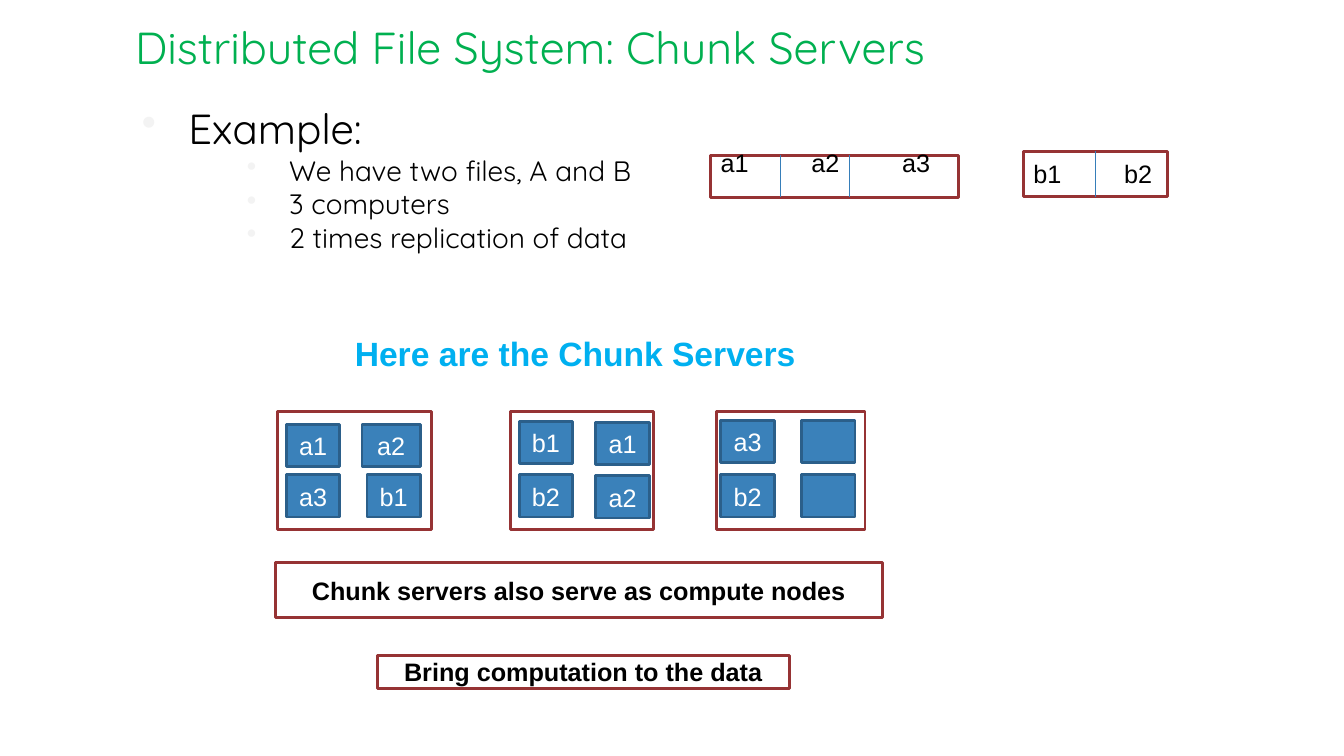
from dataclasses import dataclass

from lxml import etree
from pptx import Presentation
from pptx.dml.color import RGBColor
from pptx.enum import shapes, text
from pptx.oxml import ns
from pptx.util import Inches, Pt

GREEN, SKY, BLACK, WHITE, PALE = "00B050", "00B0F0", "000000", "FFFFFF", "F3F3F3"
MAROON, BLUE, NAVY, DIVIDER = "963334", "3A81BA", "2B5F8A", "367EB9"
LEFT, CENTER = text.PP_ALIGN.LEFT, text.PP_ALIGN.CENTER
CHUNK_WIDTH, CHUNK_HEIGHT = 0.53, 0.42
TAB_STEP = 0.9


@dataclass
class Area:
    left: float
    top: float
    width: float
    height: float

    def lengths(self) -> list:
        return [Inches(v) for v in (self.left, self.top, self.width, self.height)]


@dataclass
class Chunk:
    label: str
    left: float
    top: float
    width: float = CHUNK_WIDTH


@dataclass
class Server:
    area: Area
    chunks: list[Chunk]


@dataclass
class StoredFile:
    area: Area
    labels: list[str]
    dividers: list[float]
    bottom_inset: float


@dataclass
class Bullet:
    wording: str
    size: int
    level: int
    margin: float
    hanging: float


SERVERS = [
    Server(Area(2.75, 4.08, 1.53, 1.17),
           [Chunk("a1", 2.84, 4.21), Chunk("a2", 3.59, 4.21, 0.58),
            Chunk("a3", 2.84, 4.71), Chunk("b1", 3.64, 4.71)]),
    Server(Area(5.06, 4.08, 1.42, 1.17),
           [Chunk("b1", 5.15, 4.18), Chunk("a1", 5.91, 4.19),
            Chunk("b2", 5.15, 4.71), Chunk("a2", 5.91, 4.72)]),
    Server(Area(7.11, 4.08, 1.47, 1.17),
           [Chunk("a3", 7.15, 4.17), Chunk("", 7.95, 4.17),
            Chunk("b2", 7.15, 4.71), Chunk("", 7.95, 4.71)]),
]
FILES = [
    # The larger bottom inset lifts the labels of file A onto its top edge
    StoredFile(Area(7.05, 1.54, 2.46, 0.42), ["a1", "a2", "a3"], [7.74, 8.43], 0.33),
    StoredFile(Area(10.15, 1.5, 1.43, 0.45), ["b1", "b2"], [10.87], 0.05),
]
BULLETS = [Bullet("Example:", 30, 0, 0.5, 0.46)] + [
    Bullet(wording, 20, 2, 1.5, 0.42)
    for wording in ("We have two files, A and B", "3 computers",
                    "2 times replication of data")
]
MESSAGES = [
    ("Chunk servers also serve as compute nodes", Area(2.73, 5.58, 6.02, 0.55)),
    ("Bring computation to the data", Area(3.74, 6.5, 4.09, 0.33)),
]


def paint(color_format, color: str) -> None:
    color_format.rgb = RGBColor.from_string(color)


def add_span(para, wording: str, size: int, color: str,
             font: str = "Arial", bold: bool = False) -> None:
    span = para.add_run()
    span.text = wording
    span.font.size, span.font.name, span.font.bold = Pt(size), font, bold
    paint(span.font.color, color)


def add_box(page, area: Area, fill: str, line: str, wording: str = "",
            color: str = BLACK, bold: bool = False, align=CENTER):
    box = page.shapes.add_shape(shapes.MSO_SHAPE.RECTANGLE, *area.lengths())
    box.shadow.inherit = False
    box.fill.solid()
    paint(box.fill.fore_color, fill)
    paint(box.line.color, line)
    box.line.width = Pt(2)
    if wording:
        para = box.text_frame.paragraphs[0]
        para.alignment = align
        add_span(para, wording, 18, color, bold=bold)
    return box


def add_title(page) -> None:
    title = page.shapes.title
    title.left, title.top, title.width, title.height = Area(1.24, 0.25, 10.8, 0.58).lengths()
    frame = title.text_frame
    frame.auto_size = text.MSO_AUTO_SIZE.NONE
    frame.vertical_anchor = text.MSO_ANCHOR.BOTTOM
    frame.margin_top = frame.margin_bottom = Inches(0.1)
    para = frame.paragraphs[0]
    para.alignment = LEFT
    add_span(para, "Distributed File System: Chunk Servers", 32, GREEN, "Quicksand")


def add_bullets(page, area: Area) -> None:
    frame = page.shapes.add_textbox(*area.lengths()).text_frame
    frame.word_wrap = True
    frame.margin_top = frame.margin_bottom = Inches(0.1)
    for index, bullet in enumerate(BULLETS):
        para = frame.add_paragraph() if index else frame.paragraphs[0]
        para.level = bullet.level
        para.space_before = Pt(0 if index else 6)
        props = para._p.get_or_add_pPr()
        props.set("marL", str(Inches(bullet.margin)))
        props.set("indent", str(-Inches(bullet.hanging)))
        tint = etree.SubElement(props, ns.qn("a:buClr"))
        etree.SubElement(tint, ns.qn("a:srgbClr"), val=PALE)
        etree.SubElement(props, ns.qn("a:buChar"), char="•")
        add_span(para, bullet.wording, bullet.size, BLACK, "Quicksand")


def add_server(page, server: Server) -> None:
    add_box(page, server.area, WHITE, MAROON)
    for chunk in server.chunks:
        area = Area(chunk.left, chunk.top, chunk.width, CHUNK_HEIGHT)
        add_box(page, area, BLUE, NAVY, chunk.label, WHITE)


def add_file(page, stored: StoredFile) -> None:
    box = add_box(page, stored.area, WHITE, MAROON, "\t".join(stored.labels), align=LEFT)
    box.text_frame.margin_bottom = Inches(stored.bottom_inset)
    props = box.text_frame.paragraphs[0]._p.get_or_add_pPr()
    tabs = etree.SubElement(props, ns.qn("a:tabLst"))
    for step in range(1, len(stored.labels)):
        etree.SubElement(tabs, ns.qn("a:tab"), pos=str(Inches(step * TAB_STEP)), algn="l")
    top, bottom = Inches(stored.area.top), Inches(1.95)
    for x in stored.dividers:
        divider = page.shapes.add_connector(
            shapes.MSO_CONNECTOR.STRAIGHT, Inches(x), top, Inches(x), bottom)
        paint(divider.line.color, DIVIDER)
        divider.line.width = Pt(0.75)
        etree.SubElement(divider._element.spPr, ns.qn("a:effectLst"))


def main() -> None:
    deck = Presentation()
    deck.slide_width, deck.slide_height = Inches(13.33), Inches(7.5)
    page = deck.slides.add_slide(deck.slide_layouts[5])

    # Title and example
    add_title(page)
    add_bullets(page, Area(1.27, 0.92, 10.8, 6.33))

    # Chunk servers
    for server in SERVERS:
        add_server(page, server)
    heading = page.shapes.add_textbox(*Area(3.42, 3.25, 4.62, 0.5).lengths()).text_frame
    heading.word_wrap = False
    add_span(heading.paragraphs[0], "Here are the Chunk Servers", 24, SKY, bold=True)

    # Messages
    for wording, area in MESSAGES:
        add_box(page, area, WHITE, MAROON, wording, bold=True)

    # Files A and B
    for stored in FILES:
        add_file(page, stored)

    deck.save("out.pptx")


if __name__ == "__main__":
    main()
